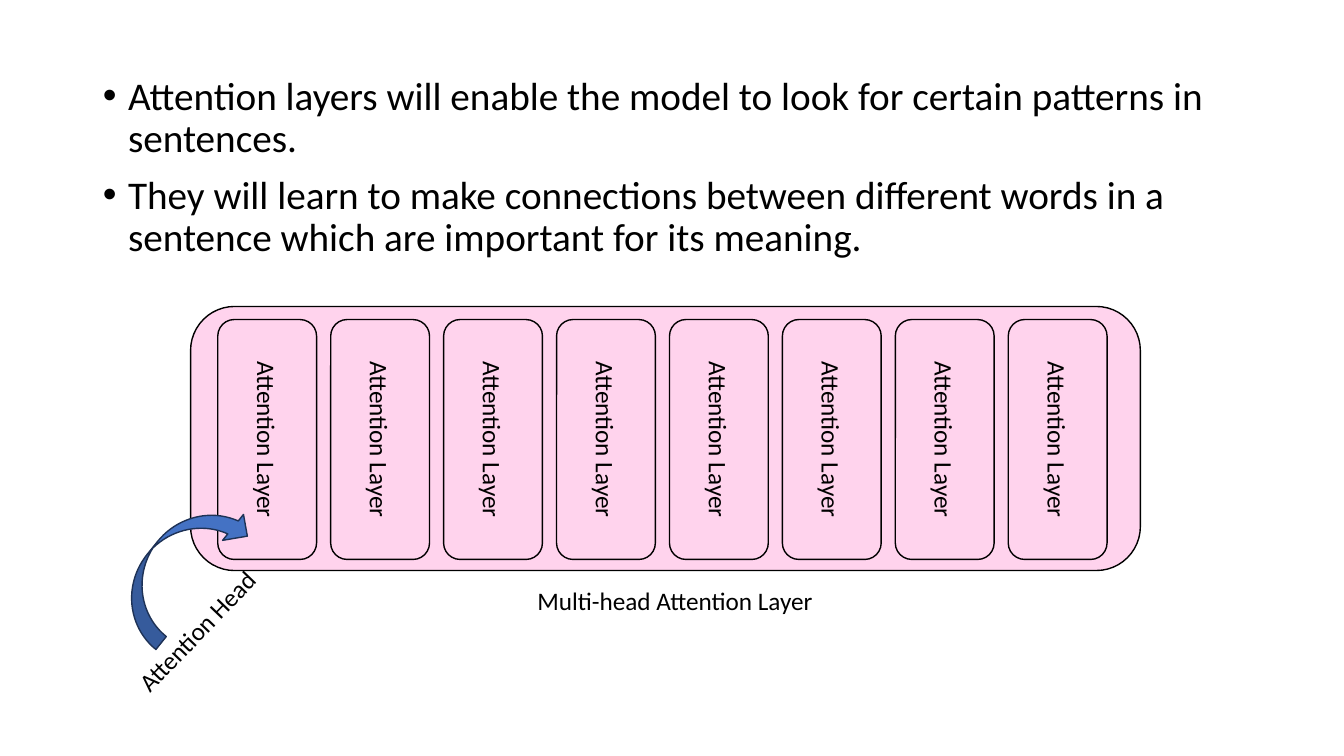
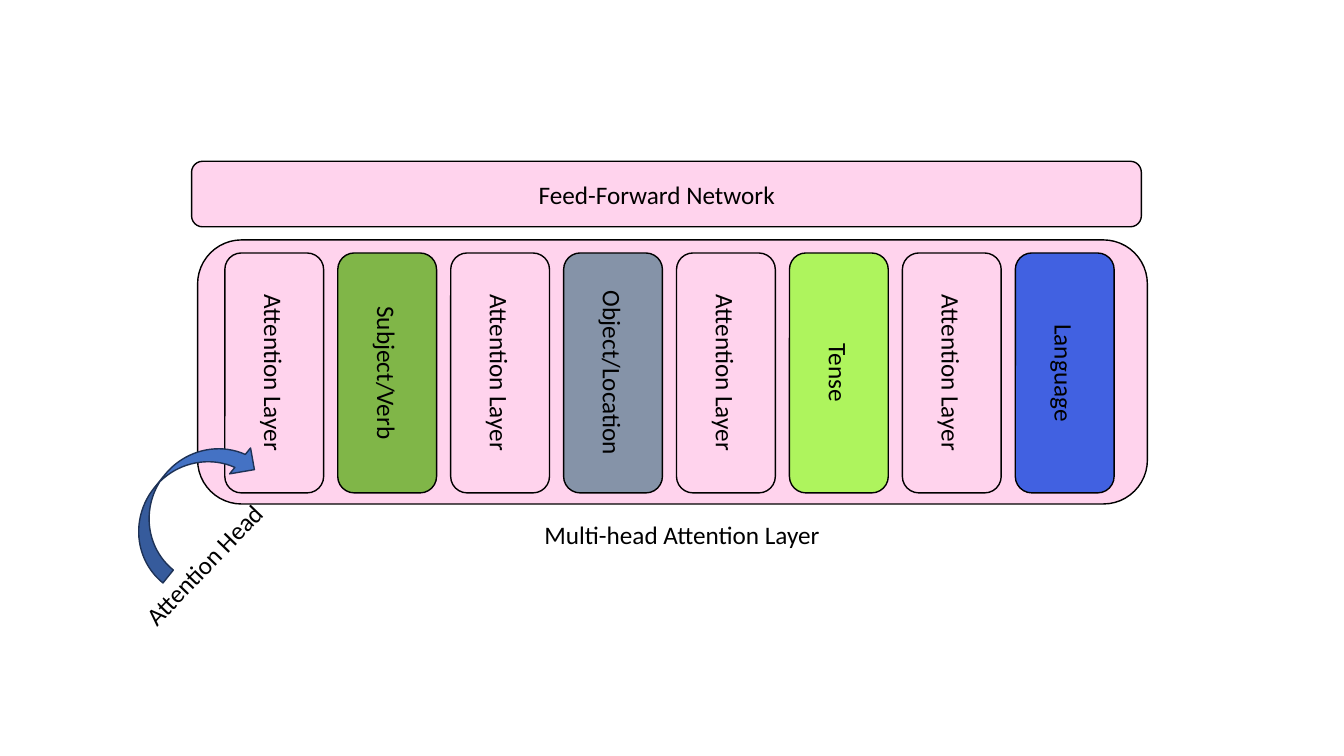
from dataclasses import dataclass

from pptx import Presentation
from pptx.dml.color import RGBColor
from pptx.enum.shapes import MSO_SHAPE
from pptx.enum.text import MSO_ANCHOR, PP_ALIGN
from pptx.shapes.autoshape import Shape
from pptx.slide import Slide
from pptx.util import Inches, Pt

ROUNDED = MSO_SHAPE.ROUNDED_RECTANGLE
CURVED_ARROW = MSO_SHAPE.CURVED_DOWN_ARROW
CENTER = PP_ALIGN.CENTER
MIDDLE = MSO_ANCHOR.MIDDLE

FONT = "Calibri"
BLACK = "000000"
PINK = "FFD3ED"
ARROW_BLUE = "4472C4"
ARROW_EDGE = "1E3256"

LAYER_WIDTH, LAYER_HEIGHT = 9.42, 2.62
HEAD_WIDTH, HEAD_HEIGHT = 0.98, 2.38
HEAD_LEFT, HEAD_TOP, HEAD_PITCH = 0.27, 0.13, 1.12

BULLETS = (
    "Attention layers will enable the model to look for certain patterns in sentences.",
    "They will learn to make connections between different words in a sentence "
    "which are important for its meaning.",
)


@dataclass(frozen=True)
class Box:
    left: float
    top: float
    width: float
    height: float

    def lengths(self) -> tuple[int, int, int, int]:
        return (Inches(self.left), Inches(self.top),
                Inches(self.width), Inches(self.height))


@dataclass(frozen=True)
class Head:
    label: str = "Attention Layer"
    fill: str = PINK


PLAIN_HEADS = (Head(),) * 8
LEARNED_HEADS = (
    Head(), Head("Subject/Verb", "80B648"),
    Head(), Head("Object/Location", "8593A8"),
    Head(), Head("Tense", "AEF45D"),
    Head(), Head("Language", "4161E1"),
)


def color(hex_value: str) -> RGBColor:
    return RGBColor.from_string(hex_value)


def write_label(shape: Shape, text: str) -> None:
    """Put one centred, unwrapped line in the middle of the shape."""
    frame = shape.text_frame
    frame.word_wrap = False
    frame.vertical_anchor = MIDDLE
    paragraph = frame.paragraphs[0]
    paragraph.text = text
    paragraph.alignment = CENTER
    paragraph.font.name = FONT
    paragraph.font.size = Pt(18)
    paragraph.font.color.rgb = color(BLACK)


def add_block(slide: Slide, box: Box, fill: str = PINK, edge: str = BLACK,
              preset: MSO_SHAPE = ROUNDED) -> Shape:
    block = slide.shapes.add_shape(preset, *box.lengths())
    block.shadow.inherit = False
    block.fill.solid()
    block.fill.fore_color.rgb = color(fill)
    block.line.color.rgb = color(edge)
    block.line.width = Pt(1)
    return block


def add_caption(slide: Slide, box: Box, text: str, rotation: float = 0) -> None:
    caption = slide.shapes.add_textbox(*box.lengths())
    caption.rotation = rotation
    write_label(caption, text)


def add_multi_head_layer(slide: Slide, left: float, top: float,
                         heads: tuple[Head, ...]) -> None:
    """Draw the layer, its heads, captions and arrow from one corner."""
    add_block(slide, Box(left, top, LAYER_WIDTH, LAYER_HEIGHT))
    for index, head in enumerate(heads):
        head_box = Box(left + HEAD_LEFT + index * HEAD_PITCH, top + HEAD_TOP,
                       HEAD_WIDTH, HEAD_HEIGHT)
        head_block = add_block(slide, head_box, head.fill)
        write_label(head_block, head.label)
        head_block.text_frame._txBody.bodyPr.set("vert", "vert")
    add_caption(slide, Box(left + 3.32, top + 2.72, 2.97, 0.4),
                "Multi-head Attention Layer")
    add_caption(slide, Box(left - 0.82, top + 3.02, 1.76, 0.4),
                "Attention Head", rotation=313.9)
    arrow = add_block(slide, Box(left - 0.9, top + 2.24, 1.61, 0.66),
                      ARROW_BLUE, ARROW_EDGE, CURVED_ARROW)
    arrow.rotation = 308.9


def write_bullets(body: Shape, bullets: tuple[str, ...]) -> None:
    frame = body.text_frame
    frame.text = "\n".join(bullets)
    for paragraph in frame.paragraphs:
        paragraph.line_spacing = 0.9
        paragraph.space_before = Pt(10)
        paragraph.font.name = FONT
        paragraph.font.size = Pt(28)
        paragraph.font.color.rgb = color(BLACK)
        properties = paragraph._p.get_or_add_pPr()
        properties.set("marL", str(Inches(0.25)))
        properties.set("indent", str(Inches(-0.25)))


def build_attention_slide(deck: Presentation) -> None:
    slide = deck.slides.add_slide(deck.slide_layouts.get_by_name("Title and Content"))
    empty_title = slide.shapes.title.element
    empty_title.getparent().remove(empty_title)
    body = slide.placeholders[1]
    body.left, body.top, body.width, body.height = Box(0.92, 0.71, 11.5, 6.05).lengths()
    write_bullets(body, BULLETS)
    add_multi_head_layer(slide, 1.89, 3.04, PLAIN_HEADS)


def build_feed_forward_slide(deck: Presentation) -> None:
    slide = deck.slides.add_slide(deck.slide_layouts.get_by_name("Blank"))
    add_multi_head_layer(slide, 1.96, 2.38, LEARNED_HEADS)
    feed_forward = add_block(slide, Box(1.9, 1.6, LAYER_WIDTH, 0.65))
    write_label(feed_forward, "Feed-Forward Network")
    feed_forward.text_frame.margin_right = Inches(0.29)


def main() -> None:
    deck = Presentation()
    deck.slide_width, deck.slide_height = Inches(13.33), Inches(7.5)
    build_attention_slide(deck)
    build_feed_forward_slide(deck)
    deck.save("out.pptx")


if __name__ == "__main__":
    main()
